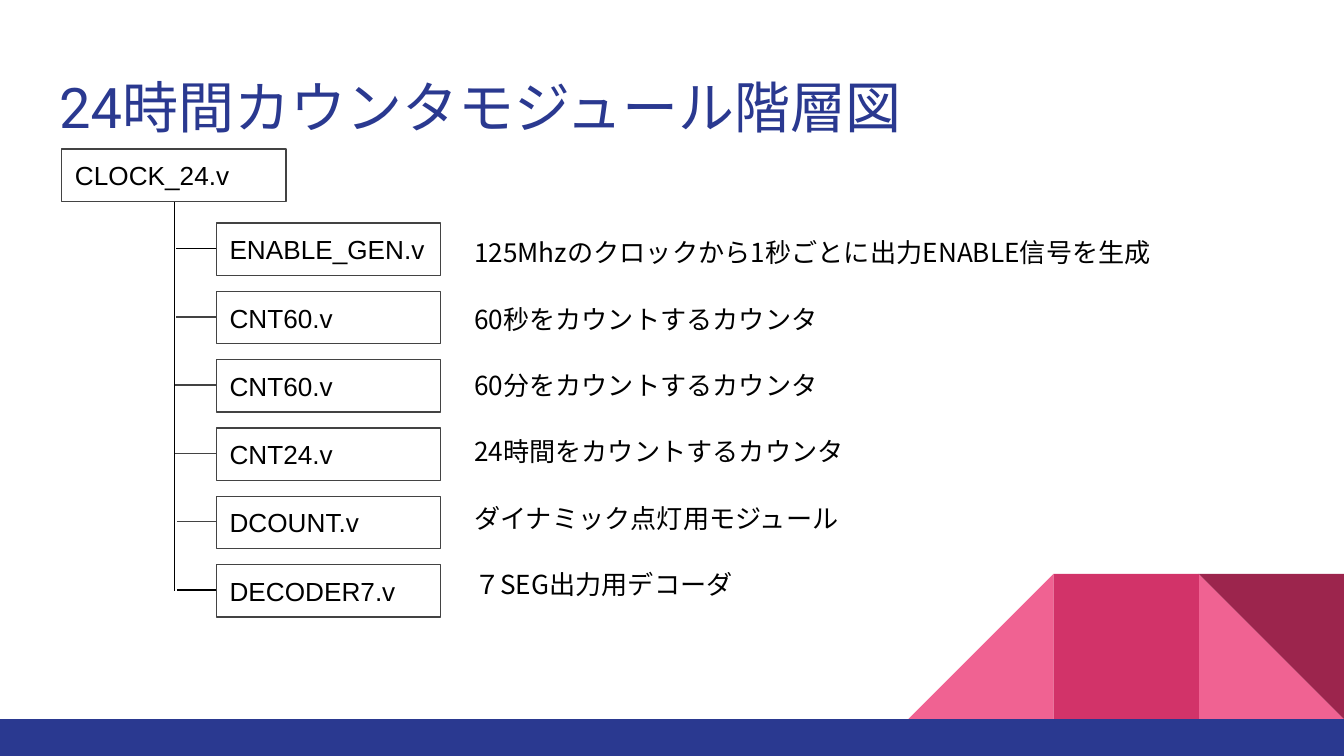
from lxml.etree import SubElement
from pptx import Presentation
from pptx.dml.color import RGBColor
from pptx.enum.shapes import MSO_CONNECTOR, MSO_SHAPE
from pptx.enum.text import MSO_ANCHOR, PP_ALIGN
from pptx.oxml.ns import qn
from pptx.util import Inches, Pt

COLORS = {
    "navy": "2A3990", "pink": "F06292", "rose": "D23369",
    "wine": "9C254D", "gray": "434343", "black": "000000",
}
CJK = "Noto Sans CJK JP"


def rgb(name):
    return RGBColor.from_string(COLORS[name])


def set_text(sp, text, font, size, color, anchor):
    tf = sp.text_frame
    tf.word_wrap = True
    tf.vertical_anchor = anchor
    tf.margin_left = tf.margin_right = Inches(0.1)
    tf.margin_top = tf.margin_bottom = Inches(0.1)
    p = tf.paragraphs[0]
    p.alignment = PP_ALIGN.LEFT
    r = p.add_run()
    r.text = text
    r.font.name = font
    r.font.size = Pt(size)
    r.font.color.rgb = rgb(color)
    SubElement(r._r.get_or_add_rPr(), qn("a:ea")).set("typeface", CJK)


prs = Presentation()
prs.slide_width = Inches(10)
prs.slide_height = prs.slide_width * 9 // 16
s = prs.slides.add_slide(prs.slide_layouts[5])

# Corner decoration and bottom bar
side = 1.08
decoration = [
    (MSO_SHAPE.RIGHT_TRIANGLE, 8.92, 4.27, side, side, "pink"),
    (MSO_SHAPE.RIGHT_TRIANGLE, 6.76, 4.27, side, side, "pink"),
    (MSO_SHAPE.RECTANGLE, 7.84, 4.27, side, side, "rose"),
    (MSO_SHAPE.RIGHT_TRIANGLE, 8.92, 4.27, side, side, "wine"),
    (MSO_SHAPE.RECTANGLE, 0, 5.35, 10, 0.28, "navy"),
]
for kind, x, y, w, h, color in decoration:
    sp = s.shapes.add_shape(kind, Inches(x), Inches(y), Inches(w), Inches(h))
    sp.shadow.inherit = False
    sp.fill.solid()
    sp.fill.fore_color.rgb = rgb(color)
    sp.line.fill.background()
    if x == 6.76:
        sp._element.spPr.get_or_add_xfrm().set("flipH", "1")
    if color == "wine":
        sp.rotation = 180

# Title
title = s.shapes.title
title.left, title.top = Inches(0.34), Inches(0.46)
title.width, title.height = Inches(9.32), Inches(0.66)
set_text(title, "24時間カウンタモジュール階層図", "Roboto", 30, "navy", MSO_ANCHOR.MIDDLE)

# Module boxes: the root, then its children at an equal pitch
modules = [
    ("ENABLE_GEN.v", "125Mhzのクロックから1秒ごとに出力ENABLE信号を生成", 1.31, "black"),
    ("CNT60.v", "60秒をカウントするカウンタ", 1.31, "gray"),
    ("CNT60.v", "60分をカウントするカウンタ", 1.3, "gray"),
    ("CNT24.v", "24時間をカウントするカウンタ", 1.3, "gray"),
    ("DCOUNT.v", "ダイナミック点灯用モジュール", 1.32, "gray"),
    ("DECODER7.v", "７SEG出力用デコーダ", 1.32, "black"),
]
first_top, last_box_top, last_note_top = 1.66, 4.2, 4.13
steps = len(modules) - 1
box_pitch = (last_box_top - first_top) / steps
note_pitch = (last_note_top - first_top) / steps
boxes = [("CLOCK_24.v", 0.46, 1.11)]
lines = [(1.3, 1.5, 1.3, 4.4, "black")]
for i, (name, note, trunk_x, color) in enumerate(modules):
    y = first_top + i * box_pitch
    boxes.append((name, 1.61, y))
    lines.append((1.61, y + 0.19, trunk_x, y + 0.19, color))

for name, x, y in boxes:
    sp = s.shapes.add_shape(MSO_SHAPE.RECTANGLE, Inches(x), Inches(y), Inches(1.67), Inches(0.39))
    sp.shadow.inherit = False
    sp.fill.background()
    sp.line.color.rgb = rgb("gray")
    sp.line.width = Pt(0.75)
    set_text(sp, name, "Arial", 14, "black", MSO_ANCHOR.MIDDLE)

# Trunk and branches
for x1, y1, x2, y2, color in lines:
    line = s.shapes.add_connector(
        MSO_CONNECTOR.STRAIGHT, Inches(x1), Inches(y1), Inches(x2), Inches(y2))
    line.line.color.rgb = rgb(color)
    line.line.width = Pt(0.75)
    SubElement(line._element.spPr, qn("a:effectLst"))

# Descriptions
for i, (name, note, trunk_x, color) in enumerate(modules):
    tb = s.shapes.add_textbox(
        Inches(3.43), Inches(first_top + i * note_pitch), Inches(5.44), Inches(0.44))
    set_text(tb, note, CJK, 14, "black", MSO_ANCHOR.TOP)

prs.save("out.pptx")
